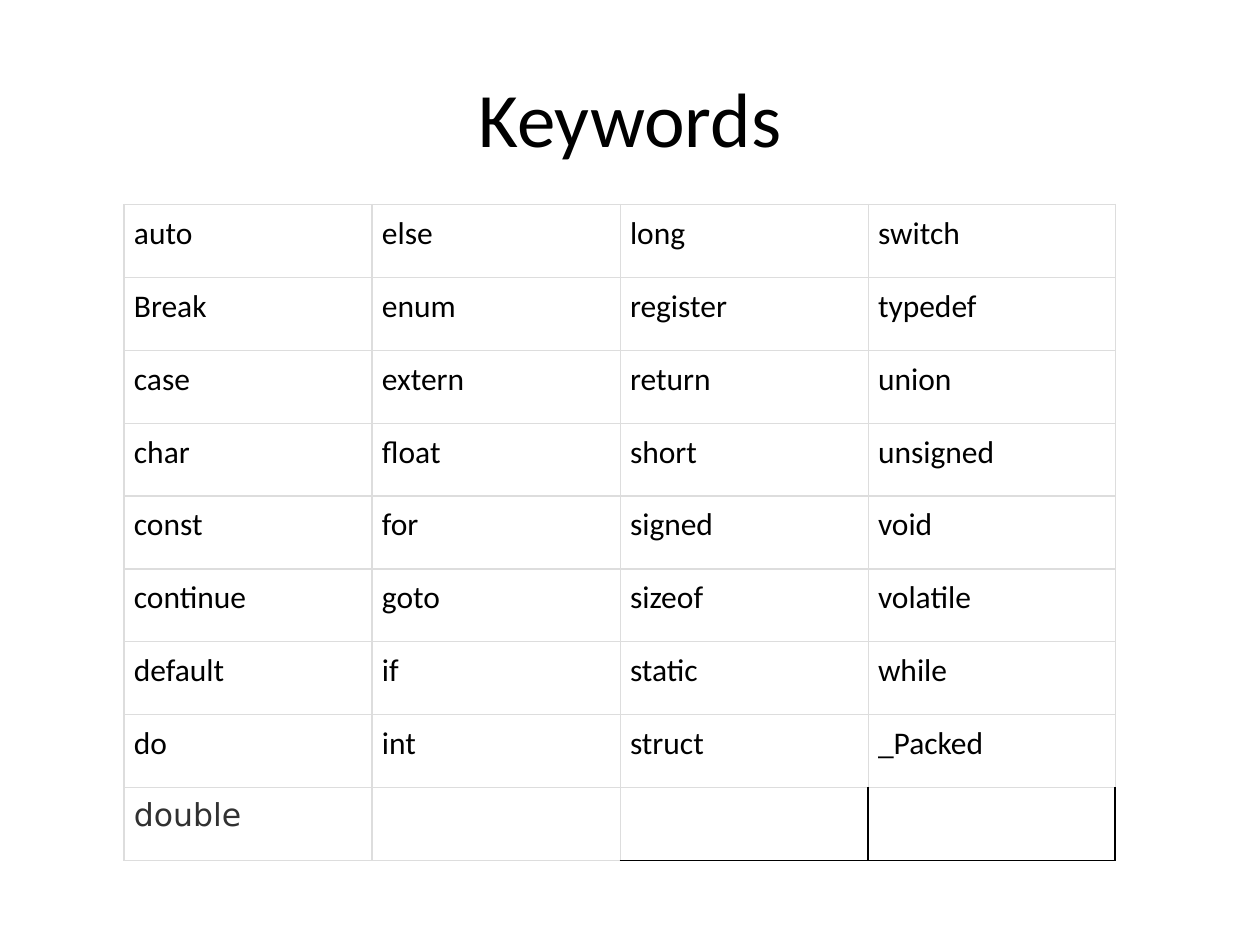
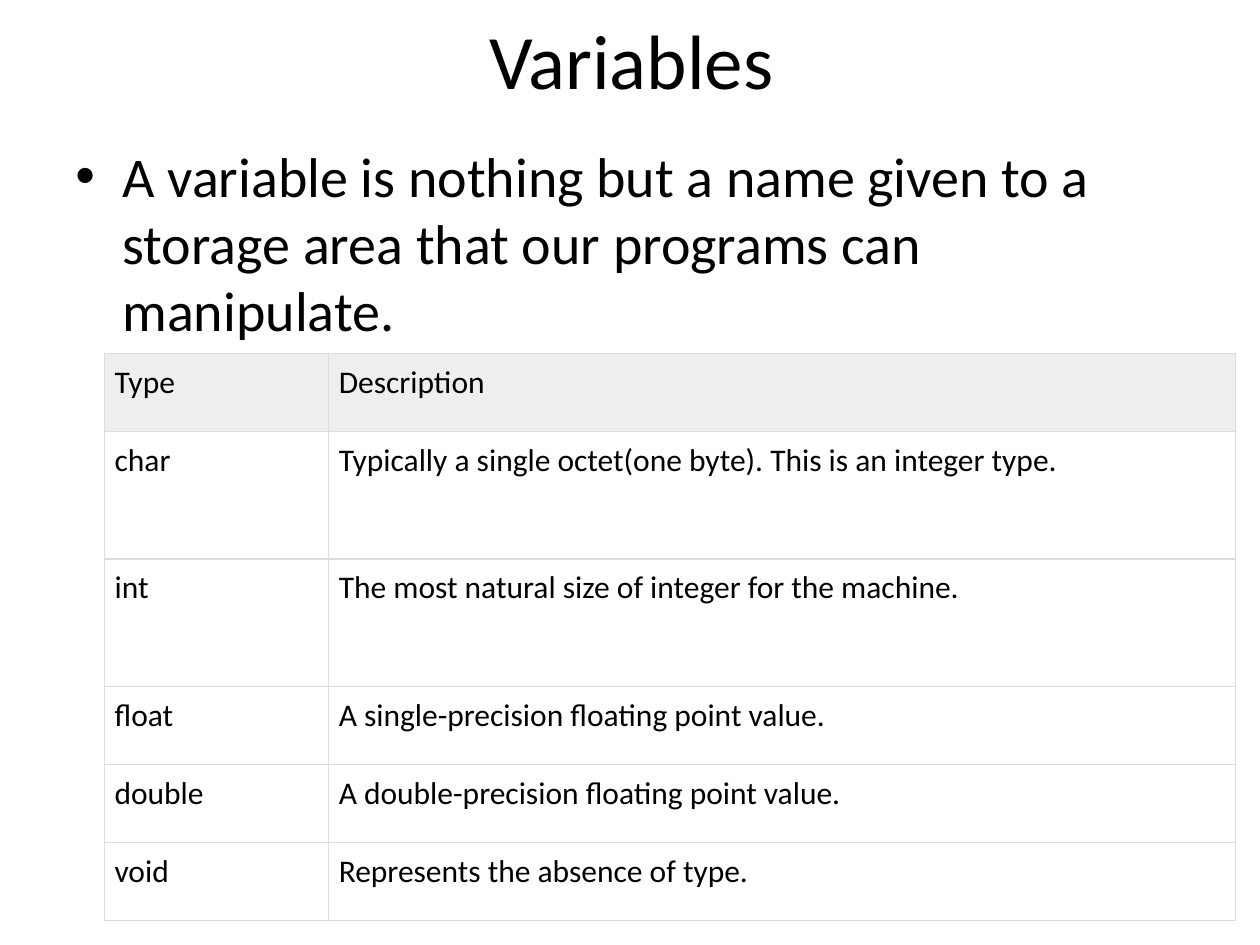
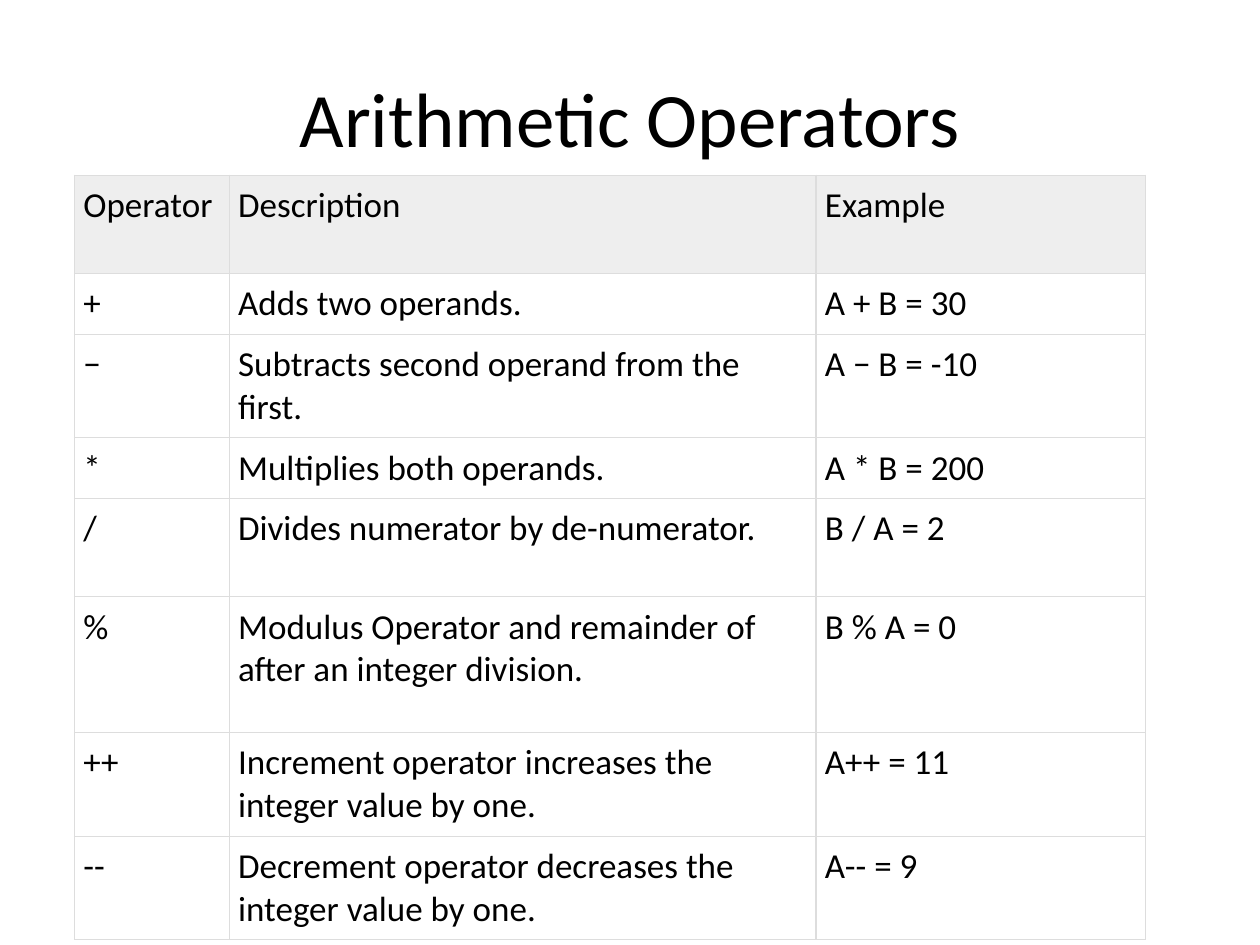
from dataclasses import dataclass, field

from lxml import etree
from pptx import Presentation
from pptx.dml.color import RGBColor
from pptx.enum.text import MSO_ANCHOR as Anchor, PP_ALIGN as Align
from pptx.oxml.ns import qn
from pptx.util import Cm, Pt

COLORS = {"text": "000000", "code": "313131", "rule": "DDDDDD",
          "frame": "000000", "header": "EEEEEE", "white": "FFFFFF"}
FONT = "Calibri"
CODE_FONT = "DejaVu Sans"
TITLE_ONLY = 5
Box = tuple[float, float, float, float]  # left, top, width, height in cm
TITLE_BOX: Box = (1.27, 0.76, 22.86, 3.18)


@dataclass
class CellStyle:
    """What sets one cell apart from the rest of its table."""
    font: str = FONT
    color: str = "text"
    fill: str | None = None
    dark_edges: str = ""  # any of L, R, T, B


@dataclass
class Grid:
    left: float
    top: float
    cols: list[float]
    heights: list[float]
    rows: list[list[str]]
    size: int = 18
    inset: float = 0.2
    header: bool = True
    special: dict[tuple[int, int], CellStyle] = field(default_factory=dict)


def rgb(name: str) -> RGBColor:
    return RGBColor.from_string(COLORS[name])


def write(tf, text: str, *, size: float, font: str = FONT, color: str = "text",
          align=Align.LEFT, before: float = 0):
    """Put one formatted paragraph into a text frame and return it."""
    tf.word_wrap = True
    p = tf.paragraphs[0]
    p.alignment = align
    p.space_before = Pt(before)
    p.font.size = Pt(size)
    if text:
        r = p.add_run()
        r.text = text
        r.font.size, r.font.name = Pt(size), font
        r.font.color.rgb = rgb(color)
    return p


def add_bullet(p, indent: float) -> None:
    pPr = p._p.get_or_add_pPr()
    pPr.set("marL", str(Cm(indent)))
    pPr.set("indent", str(-Cm(indent)))
    bullet_font = etree.Element(qn("a:buFont"), typeface="Arial")
    bullet = etree.Element(qn("a:buChar"), char="•")
    # Bullets stand before the default run properties
    at = pPr.index(pPr.find(qn("a:defRPr")))
    pPr.insert(at, bullet_font)
    pPr.insert(at + 1, bullet)


def add_borders(cell, dark_edges: str) -> None:
    tcPr = cell._tc.get_or_add_tcPr()
    for i, edge in enumerate("LRTB"):
        dark = edge in dark_edges
        ln = etree.Element(qn(f"a:ln{edge}"), w=str(Pt(1 if dark else 0.75)))
        fill = etree.SubElement(ln, qn("a:solidFill"))
        etree.SubElement(fill, qn("a:srgbClr"),
                         val=COLORS["frame" if dark else "rule"])
        tcPr.insert(i, ln)


def add_titled_slide(prs, title: str, box: Box = TITLE_BOX):
    s = prs.slides.add_slide(prs.slide_layouts[TITLE_ONLY])
    s.background.fill.solid()
    s.background.fill.fore_color.rgb = rgb("white")
    sp = s.shapes.title
    sp.left, sp.top, sp.width, sp.height = map(Cm, box)
    sp.text_frame.vertical_anchor = Anchor.MIDDLE
    write(sp.text_frame, title, size=44, align=Align.CENTER)
    return s


def add_grid(s, grid: Grid) -> None:
    table = s.shapes.add_table(
        len(grid.rows), len(grid.cols), Cm(grid.left), Cm(grid.top),
        Cm(sum(grid.cols)), Cm(sum(grid.heights))).table
    table.first_row = table.horz_banding = False
    for col, width in zip(table.columns, grid.cols):
        col.width = Cm(width)
    for i, (row, height) in enumerate(zip(grid.rows, grid.heights)):
        table.rows[i].height = Cm(height)
        for j, text in enumerate(row):
            base = CellStyle(fill="header" if grid.header and i == 0 else None)
            style = grid.special.get((i, j), base)
            cell = table.cell(i, j)
            cell.margin_left = cell.margin_right = Cm(grid.inset)
            cell.margin_top = cell.margin_bottom = Cm(grid.inset)
            write(cell.text_frame, text, size=grid.size,
                  font=style.font, color=style.color)
            if style.fill:
                cell.fill.solid()
                cell.fill.fore_color.rgb = rgb(style.fill)
            else:
                cell.fill.background()
            add_borders(cell, style.dark_edges)


# Table contents
KEYWORDS = Grid(
    2.5, 4.12, [5, 5, 5, 4.98], [1.47] * 9,
    [["auto", "else", "long", "switch"],
     ["Break", "enum", "register", "typedef"],
     ["case", "extern", "return", "union"],
     ["char", "float", "short", "unsigned"],
     ["const", "for", "signed", "void"],
     ["continue", "goto", "sizeof", "volatile"],
     ["default", "if", "static", "while"],
     ["do", "int", "struct", "_Packed"],
     ["double", "", "", ""]],
    header=False,
    special={(8, 0): CellStyle(CODE_FONT, "code", "white"),
             (8, 1): CellStyle(fill="white"),
             (8, 2): CellStyle(dark_edges="RB"),
             (8, 3): CellStyle(dark_edges="LRB")})

TYPES = Grid(
    2.11, 7.13, [4.52, 18.27], [1.57, 2.57, 2.57, 1.57, 1.57, 1.57],
    [["Type", "Description"],
     ["char", "Typically a single octet(one byte). This is an integer type."],
     ["int", "The most natural size of integer for the machine."],
     ["float", "A single-precision floating point value."],
     ["double", "A double-precision floating point value."],
     ["void", "Represents the absence of type."]])

OPERATORS = Grid(
    1.5, 3.53, [3.12, 11.83, 6.65],
    [1.98, 1.2, 1.98, 1.2, 1.98, 2.74, 1.98, 1.98],
    [["Operator", "Description", "Example"],
     ["+", "Adds two operands.", "A + B = 30"],
     ["−", "Subtracts second operand from the first.", "A − B = -10"],
     ["*", "Multiplies both operands.", "A * B = 200"],
     ["/", "Divides numerator by de-numerator.", "B / A = 2"],
     ["%", "Modulus Operator and remainder of after an integer division.",
      "B % A = 0"],
     ["++", "Increment operator increases the integer value by one.",
      "A++ = 11"],
     ["--", "Decrement operator decreases the integer value by one.",
      "A-- = 9"]],
    size=20, inset=0.18)

prs = Presentation()
prs.slide_width, prs.slide_height = Cm(25.4), Cm(19.05)

# Keywords
s = add_titled_slide(prs, "Keywords")
add_grid(s, KEYWORDS)

# Variables: definition above the type table
s = add_titled_slide(prs, "Variables", (1.3, 0.03, 22.86, 2.29))
sp = s.shapes.add_textbox(Cm(1.27), Cm(2.72), Cm(22.86), Cm(14.3))
p = write(sp.text_frame, "A variable is nothing but a name given to a storage "
          "area that our programs can manipulate.\u00a0", size=32, before=6.4)
add_bullet(p, 0.95)
add_grid(s, TYPES)

# Arithmetic operators
s = add_titled_slide(prs, "Arithmetic Operators")
add_grid(s, OPERATORS)

prs.save("out.pptx")
